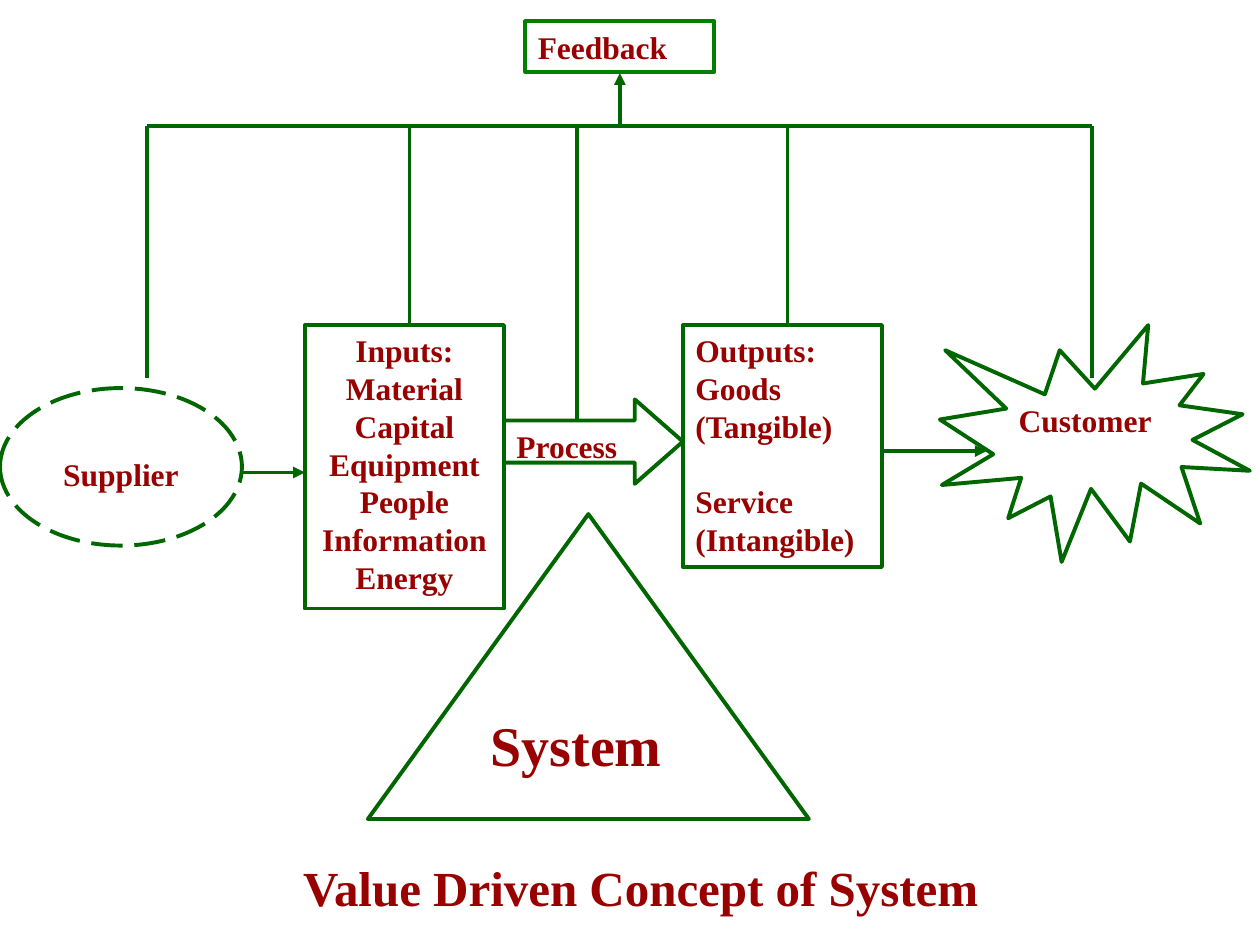
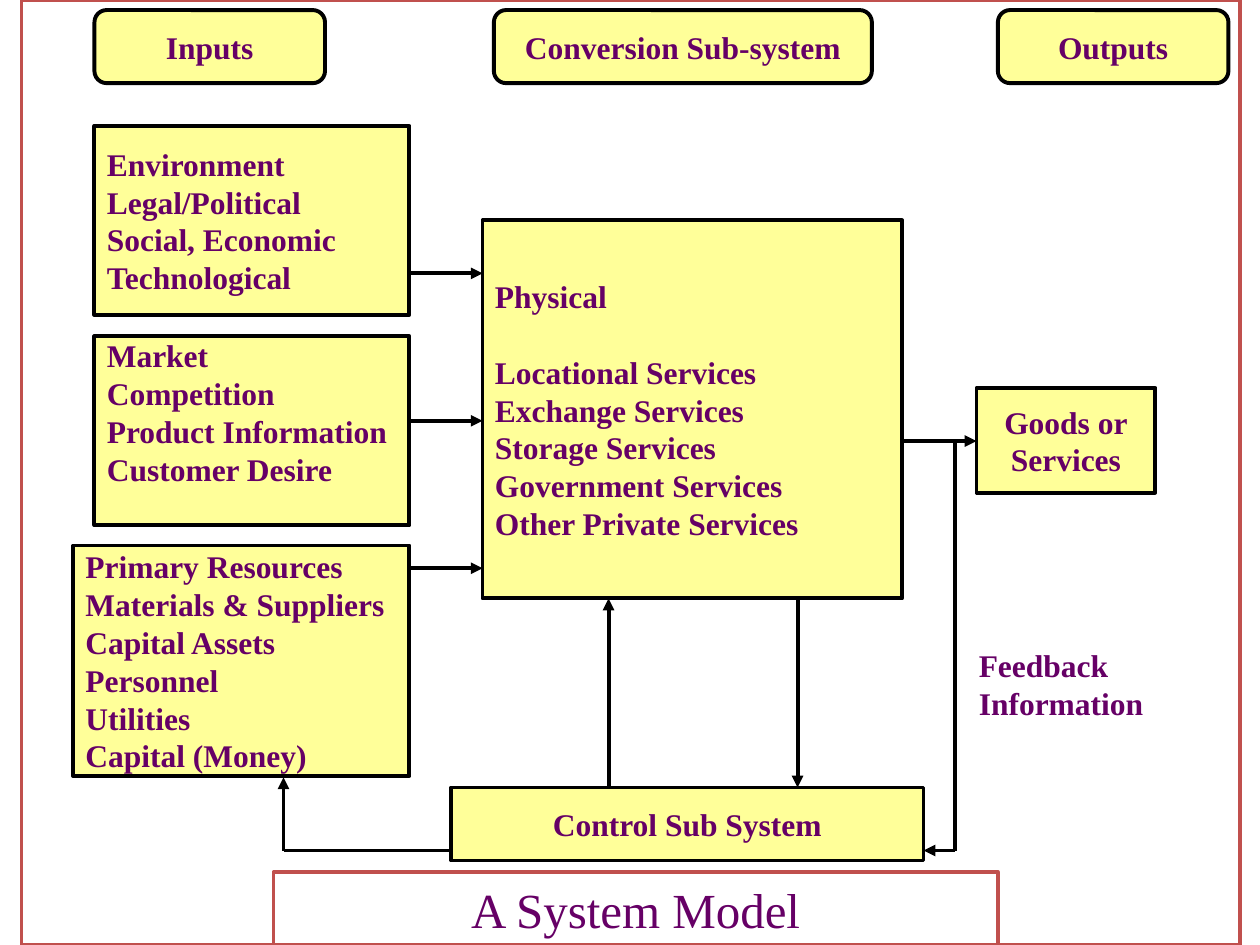
from dataclasses import dataclass

from lxml.etree import SubElement
from pptx import Presentation
from pptx.dml.color import RGBColor
from pptx.enum.dml import MSO_LINE
from pptx.enum.shapes import MSO_CONNECTOR, MSO_SHAPE
from pptx.enum.text import MSO_ANCHOR, PP_ALIGN
from pptx.oxml.ns import qn
from pptx.util import Inches, Pt


@dataclass(frozen=True)
class Theme:
    """Colours, type sizes and line widths of the deck."""
    font: str = "Times New Roman"
    body_size: float = 18
    title_size: float = 28
    emphasis_size: float = 32
    blank_line: float = 21.6
    line_width: float = 2.25
    frame_width: float = 2
    white: str = "FFFFFF"
    green: str = "006600"
    bright_green: str = "008000"
    red: str = "990000"
    yellow: str = "FFFF99"
    black: str = "000000"
    purple: str = "660066"
    frame: str = "C0504D"


@dataclass(frozen=True)
class Box:
    """A rectangle in inches."""
    left: float
    top: float
    width: float
    height: float

    def inner(self, x, y, width, height):
        """Return a box whose corner is offset from this one."""
        return Box(self.left + x, self.top + y, width, height)

    def point(self, x, y):
        """Return a point offset from this box's corner."""
        return self.left + x, self.top + y

    def lengths(self):
        """Return left, top, width and height as slide lengths."""
        return [Inches(value) for value in (self.left, self.top, self.width, self.height)]


@dataclass(frozen=True)
class Style:
    """Fill, line and text colours of a diagram."""
    fill: str | None
    line: str
    text: str


THEME = Theme()
VALUE_STYLE = Style(THEME.white, THEME.green, THEME.red)
OPEN_STYLE = Style(None, THEME.green, THEME.red)
FEEDBACK_STYLE = Style(None, THEME.bright_green, THEME.red)
MODEL_STYLE = Style(THEME.yellow, THEME.black, THEME.purple)
LEFT, CENTER = PP_ALIGN.LEFT, PP_ALIGN.CENTER
TOP, MIDDLE = MSO_ANCHOR.TOP, MSO_ANCHOR.MIDDLE


def write_text(shape, lines, color, align=LEFT, anchor=TOP, size=THEME.body_size,
               bold=True, gap_before=(), extra_top=0, extra_bottom=0):
    """Fill a shape with one paragraph per line; gap_before lists spaced lines."""
    frame = shape.text_frame
    frame.word_wrap = True
    frame.vertical_anchor = anchor
    frame.margin_left = frame.margin_right = Inches(0.1)
    frame.margin_top = Inches(0.05 + extra_top)
    frame.margin_bottom = Inches(0.05 + extra_bottom)
    for index, line in enumerate(lines):
        paragraph = frame.paragraphs[0] if index == 0 else frame.add_paragraph()
        paragraph.alignment = align
        if index in gap_before:
            paragraph.space_before = Pt(THEME.blank_line)
        run = paragraph.add_run()
        run.text = line
        run.font.name = THEME.font
        run.font.size = Pt(size)
        run.font.bold = bold
        run.font.color.rgb = RGBColor.from_string(color)


def paint(shape, fill, line, width=THEME.line_width):
    """Set a shape's fill and outline."""
    if fill:
        shape.fill.solid()
        shape.fill.fore_color.rgb = RGBColor.from_string(fill)
    else:
        shape.fill.background()
    shape.line.color.rgb = RGBColor.from_string(line)
    shape.line.width = Pt(width)


def add_node(slide, box, lines, style, kind=MSO_SHAPE.RECTANGLE, **text_options):
    """Add an outlined shape with text."""
    shape = slide.shapes.add_shape(kind, *box.lengths())
    shape.shadow.inherit = False
    paint(shape, style.fill, style.line)
    write_text(shape, lines, style.text, **text_options)
    return shape


def add_line(slide, start, end, color, arrow=True):
    """Add a straight line, with an arrowhead at its end if wanted."""
    ends = [Inches(value) for value in (*start, *end)]
    connector = slide.shapes.add_connector(MSO_CONNECTOR.STRAIGHT, *ends)
    connector.line.color.rgb = RGBColor.from_string(color)
    connector.line.width = Pt(THEME.line_width)
    properties = connector._element.spPr
    if arrow:
        SubElement(properties.get_or_add_ln(), qn("a:tailEnd"), type="triangle")
    SubElement(properties, qn("a:effectLst"))


def add_title(slide, box, text, color, bold):
    """Place and format the title placeholder."""
    title = slide.shapes.title
    title.left, title.top, title.width, title.height = box.lengths()
    write_text(title, [text], color, CENTER, MIDDLE, THEME.title_size, bold)
    return title


def add_value_chain(slide, box):
    """Draw supplier, inputs, process, outputs and customer from left to right."""
    supplier = add_node(slide, box.inner(0, 0.5, 1.92, 1.25), ["Supplier"], VALUE_STYLE,
                        MSO_SHAPE.OVAL, align=CENTER, extra_top=0.3)
    supplier.line.dash_style = MSO_LINE.LONG_DASH
    add_node(slide, box.inner(2.42, 0, 1.58, 2.25),
             ["Inputs:", "Material", "Capital", "Equipment", "People",
              "Information", "Energy"], OPEN_STYLE, align=CENTER)
    process = add_node(slide, box.inner(4, 0.59, 1.42, 0.67), ["Process"], VALUE_STYLE,
                       MSO_SHAPE.RIGHT_ARROW)
    process.adjustments[1] = 0.57
    add_node(slide, box.inner(7.46, 0, 2.46, 1.88), ["Customer"], VALUE_STYLE,
             MSO_SHAPE.EXPLOSION1)
    add_node(slide, box.inner(5.42, 0, 1.58, 1.92),
             ["Outputs:", "Goods (Tangible)", "Service (Intangible)"], OPEN_STYLE,
             gap_before=[2])
    for start, end, y in ((1.92, 2.42, 1.17), (7, 7.83, 1)):
        add_line(slide, box.point(start, y), box.point(end, y), THEME.green)


def add_feedback_bus(slide, box):
    """Draw the feedback label, the bar below it and the drops to each stage."""
    bar = 0.83
    add_node(slide, box.inner(3, 0, 1.5, 0.4), ["Feedback"], FEEDBACK_STYLE)
    add_line(slide, box.point(3.75, bar), box.point(3.75, 0.41), THEME.green)
    add_line(slide, box.point(0, bar), box.point(box.width, bar), THEME.green, False)
    for x, length in ((0, 2), (2.08, 1.58), (3.41, 2.33), (5.08, 1.58), (box.width, 2)):
        add_line(slide, box.point(x, bar), box.point(x, bar + length), THEME.green, False)


def build_value_slide(slide):
    """Build the value driven concept slide."""
    add_title(slide, Box(0.25, 6.75, 9.67, 0.57), "Value Driven Concept of System",
              THEME.red, True)
    add_node(slide, Box(2.92, 4.08, 3.5, 2.42), ["System"], VALUE_STYLE,
             MSO_SHAPE.ISOSCELES_TRIANGLE, size=THEME.emphasis_size, extra_top=0.3)
    add_value_chain(slide, Box(0, 2.58, 9.92, 2.25))
    add_feedback_bus(slide, Box(1.17, 0.17, 7.5, 2.83))


def add_headings(slide, box):
    """Draw the rounded heading above each column."""
    for x, width, text in ((0, 1.83, "Inputs"), (3.17, 3, "Conversion Sub-system"),
                           (7.17, 1.83, "Outputs")):
        add_node(slide, box.inner(x, 0, width, box.height), [text], MODEL_STYLE,
                 MSO_SHAPE.ROUNDED_RECTANGLE, align=CENTER, anchor=MIDDLE)


def add_inputs(slide, box):
    """Stack the three input boxes, each with an arrow to the right."""
    add_node(slide, box.inner(0.17, 0, 2.5, 1.5),
             ["Environment", "Legal/Political", "Social, Economic", "Technological"],
             MODEL_STYLE, anchor=MIDDLE)
    add_node(slide, box.inner(0.17, 1.67, 2.5, 1.5),
             ["Market", "Competition", "Product Information", "Customer Desire"],
             MODEL_STYLE, anchor=MIDDLE, extra_bottom=0.3)
    add_node(slide, box.inner(0, 3.33, box.width, 1.83),
             ["Primary Resources", "Materials & Suppliers", "Capital Assets",
              "Personnel", "Utilities", "Capital (Money)"],
             MODEL_STYLE, anchor=MIDDLE)
    for row in range(3):
        y = 1.17 * (row + 1)
        add_line(slide, box.point(box.width, y), box.point(box.width + 0.58, y), THEME.black)


def add_conversion(slide, box):
    """Draw the conversion box, its output and the control box below."""
    add_node(slide, box.inner(0.25, 0, 3.33, 3),
             ["Physical", "Locational Services", "Exchange Services", "Storage Services",
              "Government Services", "Other Private Services"],
             MODEL_STYLE, anchor=MIDDLE, gap_before=[1])
    add_node(slide, box.inner(4.17, 1.33, 1.42, 0.83), ["Goods or", "Services"],
             MODEL_STYLE, align=CENTER, anchor=MIDDLE)
    add_node(slide, box.inner(0, 4.5, 3.75, 0.58), ["Control Sub System"],
             MODEL_STYLE, align=CENTER, anchor=MIDDLE)
    for start, end in (((1.25, 4.5), (1.25, 3)), ((2.75, 3), (2.75, 4.5)),
                       ((3.58, 1.75), (4.17, 1.75))):
        add_line(slide, box.point(*start), box.point(*end), THEME.black)


def add_feedback_loop(slide, box):
    """Draw the paths from the output to control and on to the inputs."""
    bottom = box.height
    for start, end, arrow in (((box.width, 0), (box.width, bottom), False),
                              ((box.width, bottom), (5.08, bottom), True),
                              ((1.33, bottom), (0, bottom), False),
                              ((0, bottom), (0, bottom - 0.58), True)):
        add_line(slide, box.point(*start), box.point(*end), THEME.black, arrow)
    label = slide.shapes.add_textbox(*box.inner(5.42, 1.58, 1.67, 0.71).lengths())
    write_text(label, ["Feedback", "Information"], THEME.purple)


def build_model_slide(slide):
    """Build the system model slide."""
    border = slide.shapes.add_shape(MSO_SHAPE.RECTANGLE, *Box(0.17, 0, 9.67, 7.5).lengths())
    border.shadow.inherit = False
    paint(border, None, THEME.frame, THEME.frame_width)
    title = add_title(slide, Box(2.17, 6.92, 5.75, 0.58), "A System Model",
                      THEME.purple, False)
    paint(title, THEME.white, THEME.frame, THEME.frame_width)
    add_headings(slide, Box(0.75, 0.08, 9, 0.58))
    add_inputs(slide, Box(0.58, 1, 2.67, 5.16))
    add_conversion(slide, Box(3.58, 1.75, 5.59, 5.08))
    add_feedback_loop(slide, Box(2.25, 3.5, 5.33, 3.25))


def main():
    """Build and save the presentation."""
    presentation = Presentation()
    presentation.slide_width, presentation.slide_height = Inches(10), Inches(7.5)
    title_only = presentation.slide_layouts[5]
    for build_slide in (build_value_slide, build_model_slide):
        build_slide(presentation.slides.add_slide(title_only))
    presentation.save("out.pptx")


main()
